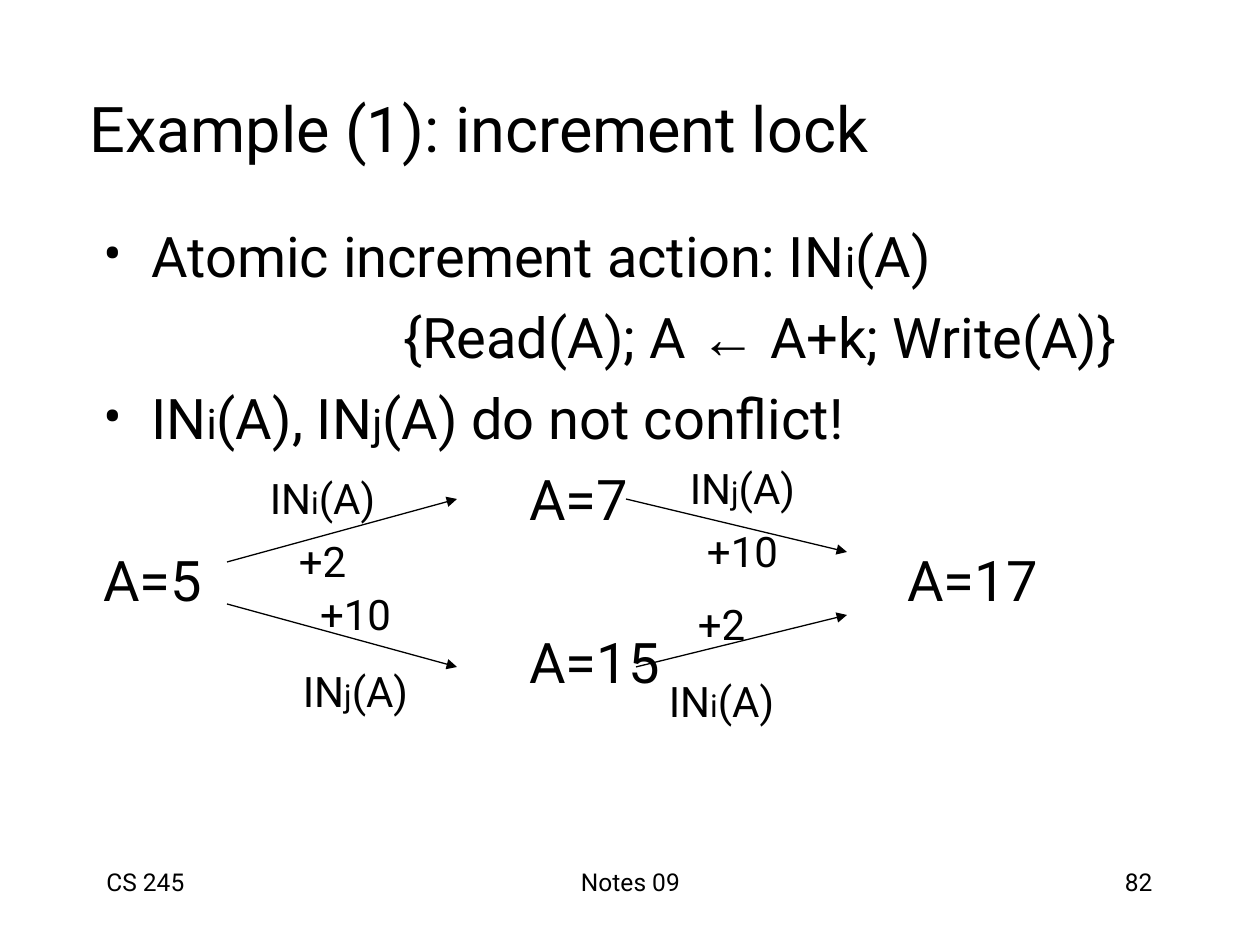
from dataclasses import dataclass
from typing import Any

from lxml.etree import SubElement
from pptx import Presentation
from pptx.dml.color import RGBColor
from pptx.enum.shapes import MSO_CONNECTOR as Connector
from pptx.enum.text import MSO_ANCHOR as Anchor, PP_ALIGN as Align
from pptx.oxml.ns import qn
from pptx.util import Emu, Pt

PX_PER_INCH = 126
COLORS = {"text": "000000", "line": "000000", "background": "FFFFFF"}
FONT = "Roboto"
HANGING_INDENT = 48
BODY_SIZE, LABEL_SIZE = 32, 24
FOOTER_FORMAT = {"word_wrap": True}
TITLE_FORMAT = {"word_wrap": True, "vertical_anchor": Anchor.MIDDLE}
BODY_FORMAT = {"word_wrap": True}
LABEL_FORMAT = {"word_wrap": False, "vertical_anchor": Anchor.MIDDLE}


@dataclass(frozen=True)
class Run:
    text: str
    size: int
    font: str = FONT


@dataclass(frozen=True)
class Line:
    runs: list[Run]
    bullet: bool = False
    spacing: float | None = None


@dataclass(frozen=True)
class Box:
    left: int
    top: int
    width: int
    height: int


@dataclass(frozen=True)
class Arrow:
    start: tuple[int, int]
    end: tuple[int, int]


@dataclass(frozen=True)
class Label:
    box: Box
    lines: list[Line]


def px(value: int) -> Emu:
    return Emu(round(value * 914400 / PX_PER_INCH))


def color(name: str) -> RGBColor:
    return RGBColor.from_string(COLORS[name])


def set_values(target: Any, values: dict[str, Any]) -> None:
    for name, value in values.items():
        setattr(target, name, value)


def increment(index: str, size: int, small: int) -> list[Run]:
    """Runs for the action IN(A) with a smaller transaction index."""
    return [Run("IN", size), Run(index, small), Run("(A)", size)]


def body_action(index: str) -> list[Run]:
    return increment(index, BODY_SIZE, 24)


def label_action(index: str) -> Line:
    return Line(increment(index, LABEL_SIZE, 18))


def body_text(text: str, font: str = FONT) -> Run:
    return Run(text, BODY_SIZE, font)


def amount(text: str, spacing: float | None = None) -> Line:
    return Line([Run(text, LABEL_SIZE)], spacing=spacing)


def add_outline_format(paragraph: Any, bullet: bool) -> None:
    """Give a hanging indent, an optional bullet and one-inch tab stops."""
    properties = paragraph._p.get_or_add_pPr()
    lengths = {"marL": HANGING_INDENT, "indent": -HANGING_INDENT, "defTabSz": PX_PER_INCH}
    for name, length in lengths.items():
        properties.set(name, str(px(length)))
    if bullet:
        bullet_color = SubElement(properties, qn("a:buClr"))
        SubElement(bullet_color, qn("a:srgbClr"), val=COLORS["text"])
        SubElement(properties, qn("a:buFont"), typeface=FONT)
        SubElement(properties, qn("a:buChar"), char="•")
    else:
        SubElement(properties, qn("a:buNone"))
    tabs = SubElement(properties, qn("a:tabLst"))
    for inch in range(8):
        SubElement(tabs, qn("a:tab"), pos=str(px(inch * PX_PER_INCH)), algn="l")


def add_text(slide: Any, box: Box, lines: list[Line], frame_format: dict[str, Any],
             align: Align = Align.LEFT, space_before: int = 0, outline: bool = False) -> None:
    shape = slide.shapes.add_textbox(px(box.left), px(box.top), px(box.width), px(box.height))
    frame = shape.text_frame
    set_values(frame, frame_format)
    for number, line in enumerate(lines):
        paragraph = frame.add_paragraph() if number else frame.paragraphs[0]
        if outline:
            add_outline_format(paragraph, line.bullet)
        set_values(paragraph, {
            "alignment": align,
            "space_before": Pt(space_before if number else 0),
            "line_spacing": line.spacing,
        })
        for part in line.runs:
            run = paragraph.add_run()
            run.text = part.text
            set_values(run.font, {"name": part.font, "size": Pt(part.size)})
            run.font.color.rgb = color("text")


def add_arrow(slide: Any, arrow: Arrow) -> None:
    connector = slide.shapes.add_connector(
        Connector.STRAIGHT, *map(px, arrow.start), *map(px, arrow.end))
    connector.line.width = Pt(0.75)
    connector.line.color.rgb = color("line")
    SubElement(connector.line._get_or_add_ln(), qn("a:tailEnd"), type="triangle")
    SubElement(connector._element.spPr, qn("a:effectLst"))


FOOTERS = [
    (Box(94, 861, 262, 63), "CS 245", Align.LEFT),
    (Box(431, 861, 399, 63), "Notes 09", Align.CENTER),
    (Box(903, 861, 262, 63), "82", Align.RIGHT),
]
BODY = [
    Line([body_text("Atomic increment action: "), *body_action("i")], bullet=True),
    Line([body_text("\t\t\t{Read(A); A "), body_text("←", "Arial"),
          body_text(" A+k; Write(A)}")]),
    Line([*body_action("i"), body_text(", "), *body_action("j"),
          body_text(" do not conflict!")], bullet=True),
    Line([body_text("\t\t\t\tA=7")]),
    Line([body_text("A=5\t\t\t\t\t\tA=17")]),
    Line([body_text("\t\t\t\tA=15")]),
]
ARROWS = [
    Arrow((227, 562), (457, 499)),
    Arrow((227, 604), (457, 667)),
    Arrow((626, 499), (847, 552)),
    Arrow((636, 667), (847, 615)),
]
LABELS = [
    Label(Box(257, 466, 131, 125), [label_action("i"), amount("+2", 0.7)]),
    Label(Box(677, 456, 131, 125), [label_action("j"), amount("+10", 0.7)]),
    Label(Box(290, 582, 131, 140), [amount("+10"), label_action("j")]),
    Label(Box(656, 592, 131, 140), [amount("+2"), label_action("i")]),
]


def main() -> None:
    presentation = Presentation()
    set_values(presentation, {"slide_width": px(1260), "slide_height": px(945)})
    slide = presentation.slides.add_slide(presentation.slide_layouts[6])
    slide.background.fill.solid()
    slide.background.fill.fore_color.rgb = color("background")

    for box, text, align in FOOTERS:
        add_text(slide, box, [Line([Run(text, 14)])], FOOTER_FORMAT, align)
    add_text(slide, Box(77, 48, 1071, 158),
             [Line([Run("Example (1): increment lock", 36)])], TITLE_FORMAT)
    add_text(slide, Box(91, 215, 1071, 567), BODY, BODY_FORMAT,
             space_before=8, outline=True)
    for arrow in ARROWS:
        add_arrow(slide, arrow)
    for label in LABELS:
        add_text(slide, label.box, label.lines, LABEL_FORMAT, Align.CENTER, space_before=15)

    presentation.save("out.pptx")


if __name__ == "__main__":
    main()
